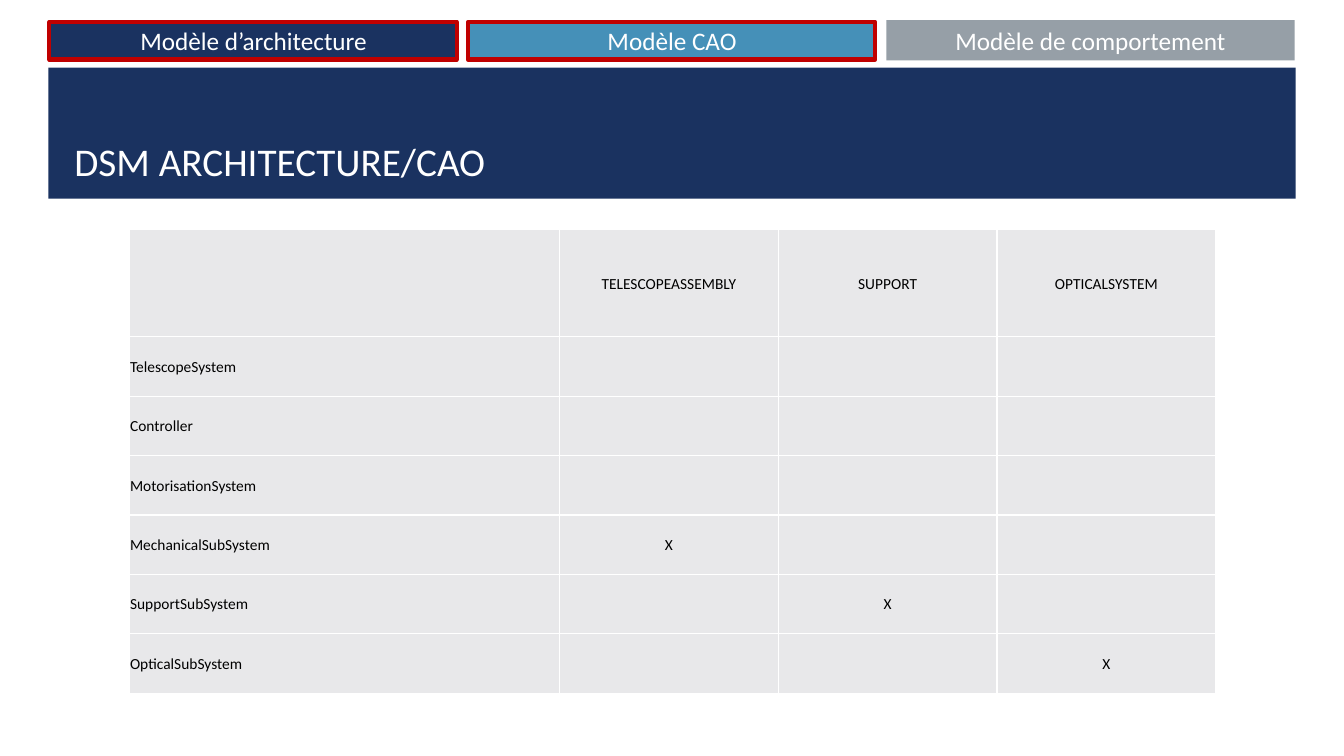
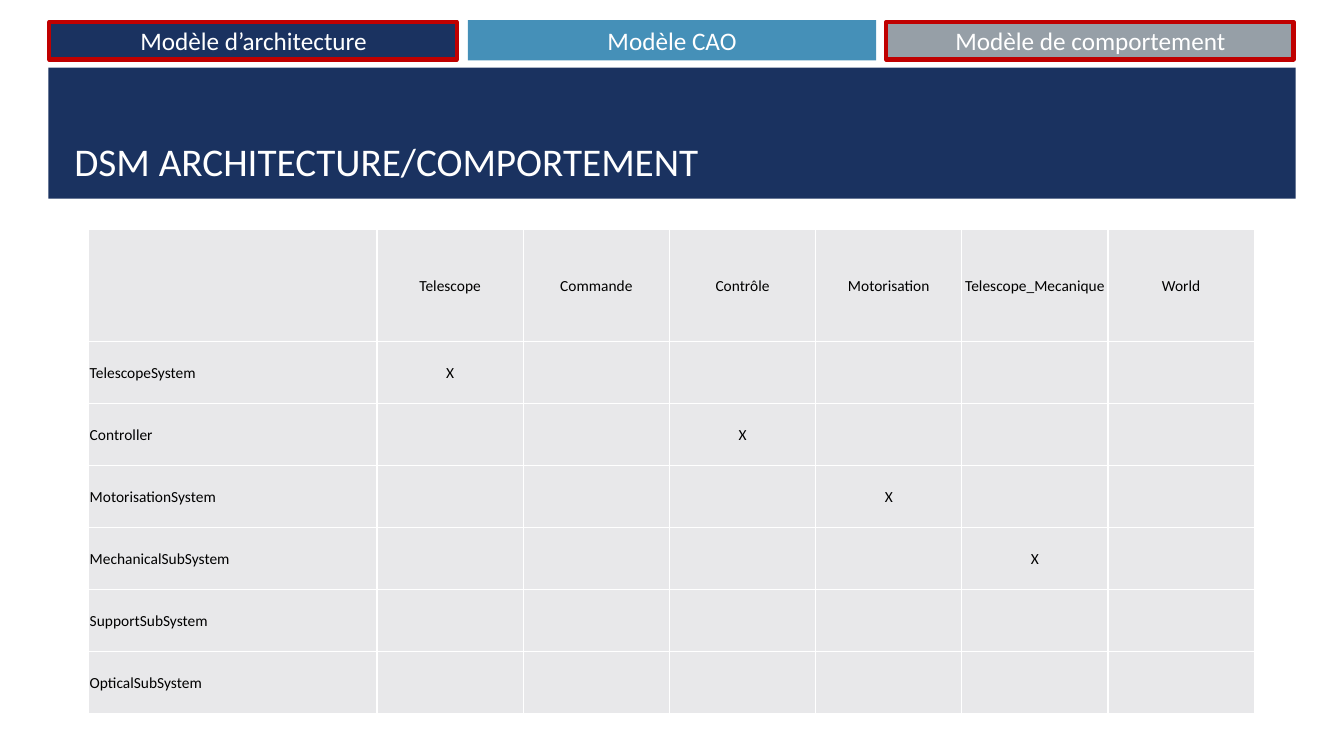
from lxml.etree import SubElement
from pptx import Presentation
from pptx.dml.color import RGBColor
from pptx.enum.shapes import MSO_SHAPE
from pptx.enum.text import MSO_ANCHOR, PP_ALIGN
from pptx.oxml.ns import qn
from pptx.util import Inches, Pt

COLORS = {
    "navy": "1A3260",
    "blue": "4590B8",
    "gray": "969FA7",
    "red": "C00000",
    "cell": "E8E8EA",
    "white": "FFFFFF",
    "black": "000000",
}
FONT = "Calibri"

# Model tabs: label and fill, laid out left to right
TABS = [
    ("Modèle d’architecture", "navy"),
    ("Modèle CAO", "blue"),
    ("Modèle de comportement", "gray"),
]
TAB_LEFT, TAB_STEP = 0.49, 4.15

SYSTEMS = ["TelescopeSystem", "Controller", "MotorisationSystem",
           "MechanicalSubSystem", "SupportSubSystem", "OpticalSubSystem"]


def rgb(name):
    return RGBColor.from_string(COLORS[name])


def write(tf, text, size, color, align=PP_ALIGN.LEFT):
    tf.text = text
    p = tf.paragraphs[0]
    p.alignment = align
    p.font.size = Pt(size)
    for r in p.runs:
        r.font.size = Pt(size)
        r.font.name = FONT
        r.font.color.rgb = rgb(color)


def add_rect(s, left, top, width, height, fill=None, line=None):
    sp = s.shapes.add_shape(MSO_SHAPE.RECTANGLE, Inches(left), Inches(top),
                            Inches(width), Inches(height))
    sp.shadow.inherit = False
    if fill:
        sp.fill.solid()
        sp.fill.fore_color.rgb = rgb(fill)
    else:
        sp.fill.background()
    if line:
        sp.line.color.rgb = rgb(line)
        sp.line.width = Pt(3)
    else:
        sp.line.fill.background()
    return sp


def add_frame(s, title, active_tabs):
    # Tabs and title band
    for i, (label, fill) in enumerate(TABS):
        sp = add_rect(s, TAB_LEFT + i * TAB_STEP, 0.2, 4.05, 0.4, fill)
        write(sp.text_frame, label, 18, "white", PP_ALIGN.CENTER)
    add_rect(s, 0.48, 0.67, 12.37, 1.3, "navy")

    # Title
    tb = s.shapes.add_textbox(Inches(0.64), Inches(0.77), Inches(12.06), Inches(1.11))
    tf = tb.text_frame
    tf.word_wrap = True
    tf.vertical_anchor = MSO_ANCHOR.BOTTOM
    write(tf, title, 28, "white")

    # Red outlines around the compared models
    for i in active_tabs:
        add_rect(s, TAB_LEFT + i * TAB_STEP, 0.22, 4.04, 0.37, line="red")


def style_cell(cell):
    tc_pr = cell._tc.get_or_add_tcPr()
    for side in ("a:lnL", "a:lnR", "a:lnT", "a:lnB"):
        ln = SubElement(tc_pr, qn(side), w=str(Pt(1)))
        fill = SubElement(ln, qn("a:solidFill"))
        SubElement(fill, qn("a:srgbClr"), val=COLORS["white"])
    cell.fill.solid()
    cell.fill.fore_color.rgb = rgb("cell")
    cell.vertical_anchor = MSO_ANCHOR.MIDDLE
    cell.margin_left = cell.margin_right = cell.margin_top = Inches(0.01)
    cell.margin_bottom = 0


def add_matrix(s, left, headers, marks, col_widths, row_heights):
    """Draw a dependency matrix; marks maps a system to its linked header."""
    label_w, mark_w = col_widths
    head_h, body_h = row_heights
    widths = [label_w] + [mark_w] * len(headers)
    heights = [head_h] + [body_h] * len(SYSTEMS)
    table = s.shapes.add_table(len(heights), len(widths), Inches(left), Inches(2.28),
                               Inches(sum(widths)), Inches(sum(heights))).table
    table.first_row = table.horz_banding = False
    for col, width in zip(table.columns, widths):
        col.width = Inches(width)
    for row, height in zip(table.rows, heights):
        row.height = Inches(height)

    rows = [[""] + headers]
    for system in SYSTEMS:
        rows.append([system] + ["X" if marks.get(system) == h else "" for h in headers])
    for i, texts in enumerate(rows):
        for j, text in enumerate(texts):
            cell = table.cell(i, j)
            style_cell(cell)
            align = PP_ALIGN.CENTER if j else PP_ALIGN.LEFT
            write(cell.text_frame, text, 11, "black", align)


def main():
    prs = Presentation()
    prs.slide_width, prs.slide_height = Inches(13.33), Inches(7.5)
    blank = prs.slide_layouts[6]

    # Architecture against CAD
    s = prs.slides.add_slide(blank)
    add_frame(s, "DSM ARCHITECTURE/CAO", [1, 0])
    add_matrix(s, 1.28, ["TELESCOPEASSEMBLY", "SUPPORT", "OPTICALSYSTEM"],
               {"MechanicalSubSystem": "TELESCOPEASSEMBLY",
                "SupportSubSystem": "SUPPORT",
                "OpticalSubSystem": "OPTICALSYSTEM"},
               (4.27, 2.17), (1.06, 0.59))

    # Architecture against behaviour
    s = prs.slides.add_slide(blank)
    add_frame(s, "DSM ARCHITECTURE/COMPORTEMENT", [2, 0])
    add_matrix(s, 0.88, ["Telescope", "Commande", "Contrôle", "Motorisation",
                         "Telescope_Mecanique", "World"],
               {"TelescopeSystem": "Telescope",
                "Controller": "Contrôle",
                "MotorisationSystem": "Motorisation",
                "MechanicalSubSystem": "Telescope_Mecanique"},
               (2.86, 1.45), (1.11, 0.615))

    prs.save("out.pptx")


if __name__ == "__main__":
    main()
